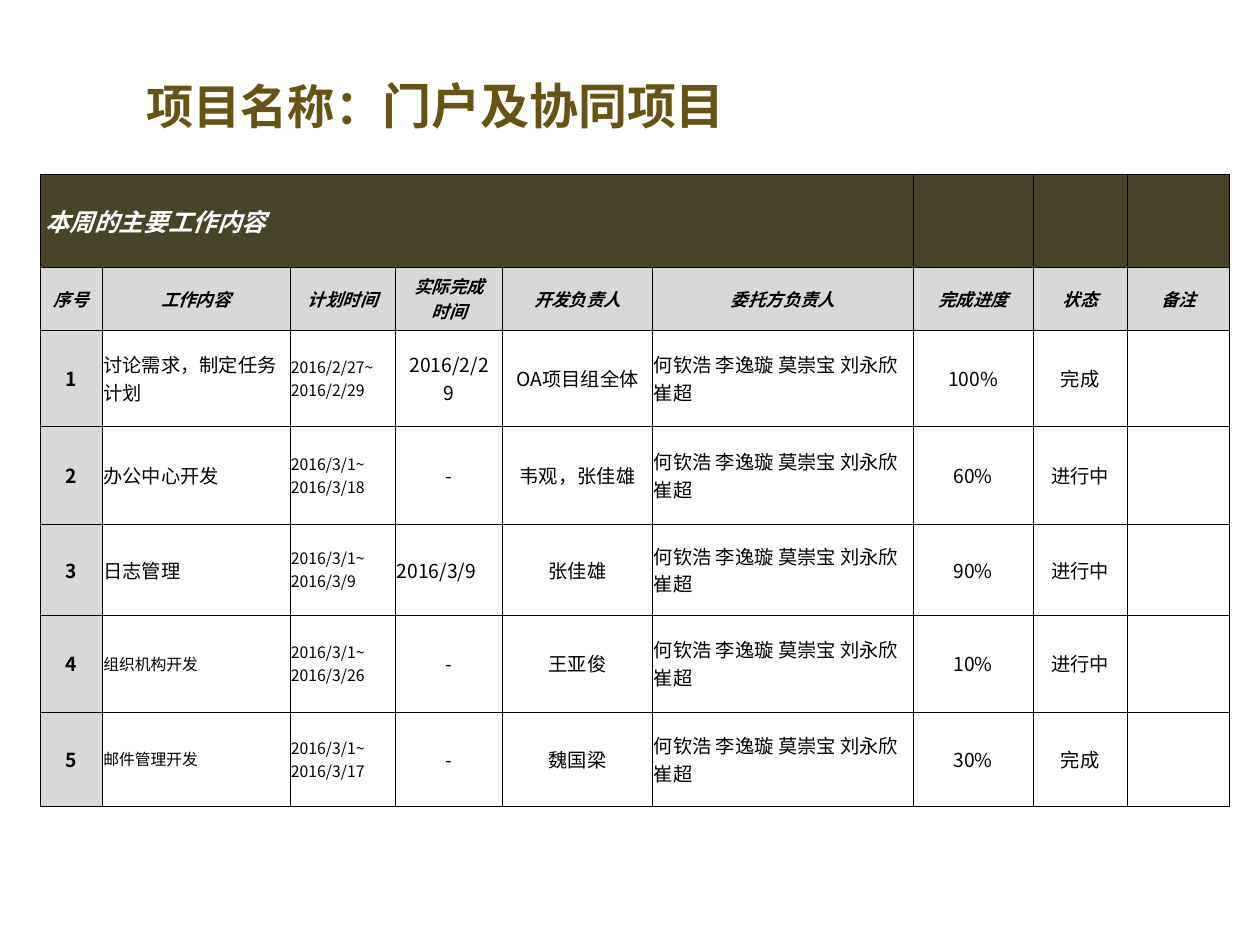
"""Build the weekly progress slide of the portal and collaboration project."""
from dataclasses import dataclass

from lxml import etree
from pptx import Presentation
from pptx import util as u
from pptx.dml.color import RGBColor
from pptx.enum import text
from pptx.oxml import ns

FONT = "Noto Sans CJK SC"
COLORS = {
    "title": "675415",
    "banner": "494429",
    "label": "D8D8D8",
    "body": "FFFFFF",
    "ink": "000000",
    "light": "FFFFFF",
}
COLUMN_WIDTHS = [0.49, 1.49, 0.84, 0.85, 1.19, 2.07, 0.95, 0.75, 0.81]
ROW_HEIGHTS = [0.74, 0.34, 0.76, 0.78, 0.72, 0.77, 0.75]
BANNER_SPAN = 6
HEADINGS = ["序号", "工作内容", "计划时间", "实际完成时间", "开发负责人",
            "委托方负责人", "完成进度", "状态", "备注"]
CLIENT_OWNERS = "何钦浩 李逸璇 莫崇宝 刘永欣 崔超"
THIN, THICK = 0.23, 0.45


@dataclass(frozen=True)
class CellStyle:
    size: float = 11
    color: str = "ink"
    fill: str = "body"
    bold: bool = False
    italic: bool = False
    centered: bool = True
    left_margin: float = 0.1
    right_margin: float = 0.1


@dataclass(frozen=True)
class Task:
    content: str
    planned: str
    finished: str
    owner: str
    progress: str
    status: str
    content_size: float = 11
    finished_style: CellStyle = CellStyle()


BANNER = CellStyle(14, "light", "banner", True, True, False, 0.04)
HEADING = CellStyle(10, fill="label", bold=True, italic=True)
NUMBER = CellStyle(fill="label", bold=True)
CENTERED = CellStyle()
CENTERED_TIGHT = CellStyle(left_margin=0.01, right_margin=0.01)
LEFT = CellStyle(centered=False, left_margin=0.01, right_margin=0.01)
SMALL_LEFT = CellStyle(9, centered=False, left_margin=0.01, right_margin=0.01)

TASKS = [
    Task("讨论需求，制定任务计划", "2016/2/27~\n2016/2/29", "2016/2/29", "OA项目组全体", "100%", "完成"),
    Task("办公中心开发", "2016/3/1~\n2016/3/18", "-", "韦观，张佳雄", "60%", "进行中"),
    Task("日志管理", "2016/3/1~\n2016/3/9", "2016/3/9", "张佳雄", "90%", "进行中", finished_style=LEFT),
    Task("组织机构开发", "2016/3/1~\n2016/3/26", "-", "王亚俊", "10%", "进行中", 9),
    Task("邮件管理开发", "2016/3/1~\n2016/3/17", "-", "魏国梁", "30%", "完成", 9),
]


def rgb(name: str) -> RGBColor:
    return RGBColor.from_string(COLORS[name])


def format_run(run, size: float, color: str, bold: bool, italic: bool = False) -> None:
    run.font.size = u.Pt(size)
    run.font.bold = bold
    run.font.italic = italic
    run.font.color.rgb = rgb(color)
    run.font.name = FONT
    east_asian = etree.SubElement(run.font._element, ns.qn("a:ea"))
    east_asian.set("typeface", FONT)


def set_borders(cell, widths: dict[str, float]) -> None:
    properties = cell._tc.get_or_add_tcPr()
    for side in "LRTB":
        line = etree.SubElement(properties, ns.qn(f"a:ln{side}"), w=str(int(u.Pt(widths[side]))))
        fill = etree.SubElement(line, ns.qn("a:solidFill"))
        etree.SubElement(fill, ns.qn("a:srgbClr"), val=COLORS["ink"])


def draw_cell(table, row: int, column: int, words: str, style: CellStyle) -> None:
    cell = table.cell(row, column)
    in_banner = row == 0
    last_column = len(COLUMN_WIDTHS) - 1
    set_borders(cell, {
        "L": THICK if in_banner or column == 0 else THIN,
        "R": THICK if in_banner or column == last_column else THIN,
        "T": THICK if in_banner else THIN,
        "B": THIN,
    })
    cell.fill.solid()
    cell.fill.fore_color.rgb = rgb(style.fill)
    cell.vertical_anchor = text.MSO_ANCHOR.MIDDLE
    cell.margin_left = u.Inches(style.left_margin)
    cell.margin_right = u.Inches(style.right_margin)
    cell.text_frame.text = words
    for paragraph in cell.text_frame.paragraphs:
        paragraph.alignment = text.PP_ALIGN.CENTER if style.centered else text.PP_ALIGN.LEFT
        for run in paragraph.runs:
            format_run(run, style.size, style.color, style.bold, style.italic)


def task_cells(number: int, task: Task) -> list[tuple[str, CellStyle]]:
    return [
        (str(number), NUMBER),
        (task.content, SMALL_LEFT if task.content_size == SMALL_LEFT.size else LEFT),
        (task.planned, SMALL_LEFT),
        (task.finished, task.finished_style),
        (task.owner, CENTERED_TIGHT),
        (CLIENT_OWNERS, LEFT),
        (task.progress, CENTERED),
        (task.status, CENTERED),
        ("", CENTERED),
    ]


def draw_title(slide) -> None:
    title = slide.shapes.title
    title.left, title.top = u.Inches(1.06), u.Inches(0.44)
    title.width, title.height = u.Inches(8.43), u.Inches(0.79)
    frame = title.text_frame
    frame.auto_size = text.MSO_AUTO_SIZE.NONE
    frame.vertical_anchor = text.MSO_ANCHOR.MIDDLE
    paragraph = frame.paragraphs[0]
    paragraph.alignment = text.PP_ALIGN.LEFT
    for words, size in (("项目名称：", 27), ("门户及协同项目", 28)):
        run = paragraph.add_run()
        run.text = words
        format_run(run, size, "title", True)


def draw_progress_table(slide) -> None:
    frame = slide.shapes.add_table(
        len(ROW_HEIGHTS), len(COLUMN_WIDTHS), u.Inches(0.32), u.Inches(1.38),
        u.Inches(sum(COLUMN_WIDTHS)), u.Inches(sum(ROW_HEIGHTS)))
    table = frame.table
    for column, width in zip(table.columns, COLUMN_WIDTHS):
        column.width = u.Inches(width)
    for row, height in zip(table.rows, ROW_HEIGHTS):
        row.height = u.Inches(height)

    banner = ["本周的主要工作内容"] + [""] * (len(COLUMN_WIDTHS) - 1)
    rows = [[(words, BANNER) for words in banner], [(words, HEADING) for words in HEADINGS]]
    rows += [task_cells(number, task) for number, task in enumerate(TASKS, 1)]
    for row, cells in enumerate(rows):
        for column, (words, style) in enumerate(cells):
            draw_cell(table, row, column, words, style)
    table.cell(0, 0).merge(table.cell(0, BANNER_SPAN - 1))


def main() -> None:
    presentation = Presentation()
    presentation.slide_width, presentation.slide_height = u.Inches(10), u.Inches(7.5)
    slide = presentation.slides.add_slide(presentation.slide_layouts[5])
    draw_title(slide)
    draw_progress_table(slide)
    presentation.save("out.pptx")


if __name__ == "__main__":
    main()
